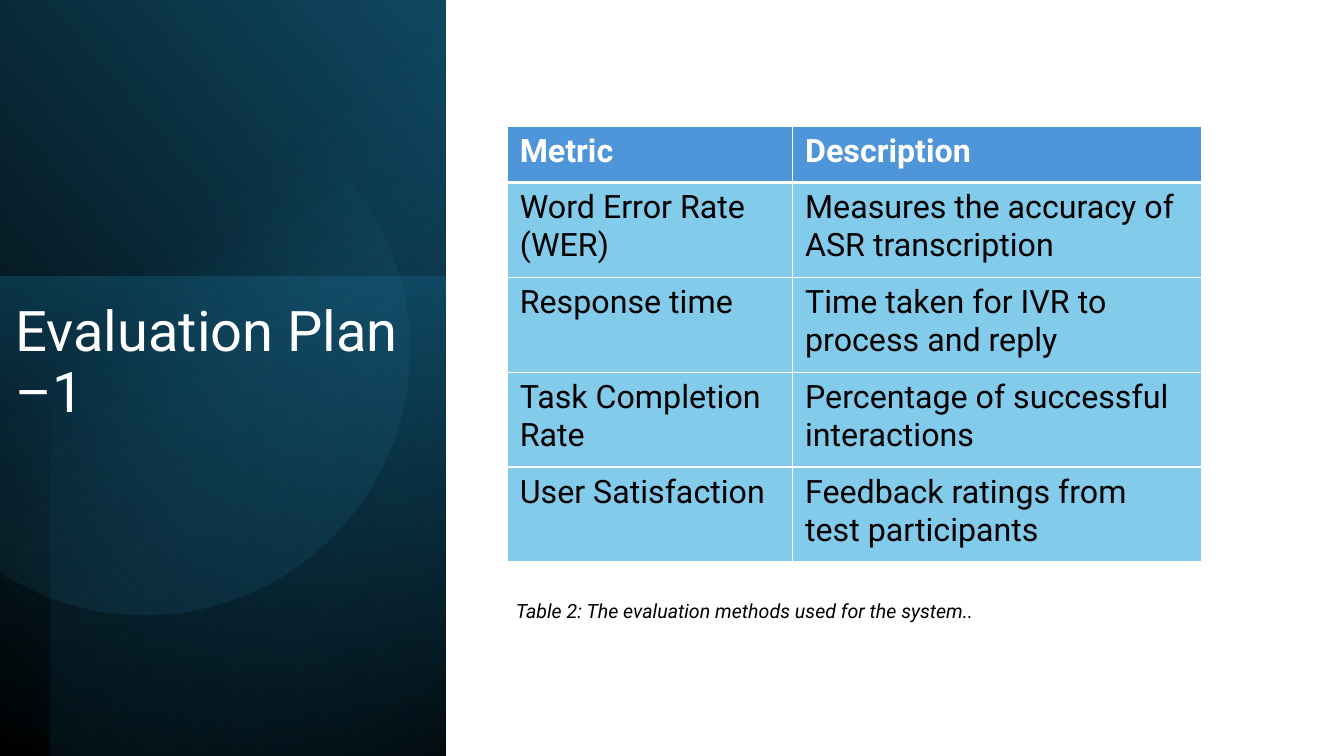
import math

import pptx
import pptx.dml.color
import pptx.enum.shapes
import pptx.oxml
import pptx.oxml.ns
import pptx.util
from pptx.util import Cm

FONT = "Roboto"
WHITE, BLACK = "FFFFFF", "000000"
HEADER_BLUE, BODY_BLUE = "4E95D9", "83CBEB"
METRICS = [
    ("Metric", "Description"),
    ("Word Error Rate (WER)", "Measures the accuracy of ASR transcription"),
    ("Response time", "Time taken for IVR to process and reply"),
    ("Task Completion Rate", "Percentage of successful interactions"),
    ("User Satisfaction", "Feedback ratings from test participants"),
]


def rgb(value):
    """Turn a hex string into a colour."""
    return pptx.dml.color.RGBColor.from_string(value)


def write(frame, text, size, color=BLACK, bold=False, italic=False, spacing=1.0):
    """Put one formatted paragraph into a text frame."""
    frame.word_wrap = True
    paragraph = frame.paragraphs[0]
    paragraph.line_spacing = spacing
    run = paragraph.add_run()
    run.text = text
    run.font.name = FONT
    run.font.size = pptx.util.Pt(size)
    run.font.bold = bold
    run.font.italic = italic
    run.font.color.rgb = rgb(color)


def add_text(slide, box, text, **style):
    """Add a text box given as left, top, width and height in cm."""
    label = slide.shapes.add_textbox(*map(Cm, box))
    write(label.text_frame, text, **style)


def shade(shape, stops, angle):
    """Fill with a two-stop gradient of (position, colour, opacity) at a clockwise angle."""
    shape.shadow.inherit = False
    shape.line.fill.background()
    shape.fill.gradient()
    shape.fill.gradient_angle = 360 - angle
    for stop, (position, color, _) in zip(shape.fill.gradient_stops, stops):
        stop.position = position
        stop.color.rgb = rgb(color)
    tints = shape._element.spPr.iter(pptx.oxml.ns.qn("a:srgbClr"))
    for tint, (_, _, opacity) in zip(list(tints), stops):
        alpha = pptx.oxml.parse_xml(
            f'<a:alpha {pptx.oxml.ns.nsdecls("a")} val="{opacity * 1000}"/>')
        tint.append(alpha)


def add_panel(slide, box, rotation, stops, angle, mirrored=False):
    """Add a rotated gradient rectangle."""
    panel = slide.shapes.add_shape(
        pptx.enum.shapes.MSO_SHAPE.RECTANGLE, *map(Cm, box))
    panel.rotation = rotation
    if mirrored:
        panel._element.spPr.xfrm.set("flipH", "1")
    shade(panel, stops, angle)


def add_cut_disc(slide, center_x, center_y, radius, stops, angle):
    """Add a gradient disc cut off at the left edge of the slide."""
    reach = math.acos(-center_x / radius)
    steps = 120
    angles = [reach * (2 * step / steps - 1) for step in range(steps + 1)]
    rim = [(Cm(center_x + radius * math.cos(a)), Cm(center_y + radius * math.sin(a)))
           for a in angles]
    builder = slide.shapes.build_freeform(*rim[0])
    builder.add_line_segments(rim[1:], close=True)
    shade(builder.convert_to_shape(), stops, angle)


def set_borders(cell, bottom=1, top=1):
    """Draw white borders round a cell, with widths in points."""
    properties = cell._tc.get_or_add_tcPr()
    widths = {"lnL": 1, "lnR": 1, "lnT": top, "lnB": bottom}
    for index, (side, width) in enumerate(widths.items()):
        properties.insert(index, pptx.oxml.parse_xml(
            f'<a:{side} {pptx.oxml.ns.nsdecls("a")} w="{pptx.util.Pt(width)}">'
            f'<a:solidFill><a:srgbClr val="{WHITE}"/></a:solidFill></a:{side}>'))


def add_metric_table(slide, left, top, widths, header_height, row_height):
    """Add the table of metrics with its header row."""
    heights = [header_height] + [row_height] * (len(METRICS) - 1)
    table = slide.shapes.add_table(
        len(METRICS), len(widths), Cm(left), Cm(top),
        Cm(sum(widths)), Cm(sum(heights))).table
    for column, width in zip(table.columns, widths):
        column.width = Cm(width)
    for row_index, (row, height) in enumerate(zip(table.rows, heights)):
        row.height = Cm(height)
        header = row_index == 0
        for cell, text in zip(row.cells, METRICS[row_index]):
            cell.margin_left = cell.margin_right = Cm(0.32)
            cell.margin_top = cell.margin_bottom = Cm(0.16)
            cell.fill.solid()
            cell.fill.fore_color.rgb = rgb(HEADER_BLUE if header else BODY_BLUE)
            set_borders(cell, bottom=3 if header else 1,
                        top=3 if row_index == 1 else 1)
            write(cell.text_frame, text, size=23, bold=header,
                  color=WHITE if header else BLACK)


def main():
    """Build the evaluation plan slide."""
    deck = pptx.Presentation()
    deck.slide_width, deck.slide_height = Cm(33.87), Cm(19.05)
    slide = deck.slides.add_slide(deck.slide_layouts[6])

    add_panel(slide, (-3.94, 3.94, 19.1, 11.23), 90,
              [(0, BLACK, 100), (1, "104862", 100)], 310, mirrored=True)
    add_panel(slide, (-0.43, 7.39, 12.09, 11.23), 270,
              [(0, "156082", 50), (1, "0B3041", 0)], 190)
    add_panel(slide, (-3.28, 4.55, 19.05, 9.96), 270,
              [(0, BLACK, 59), (0.69, "156082", 0)], 220, mirrored=True)
    add_cut_disc(slide, 3.65, 8.81, 6.68,
                 [(0.39, "46B1E1", 0), (1, "104862", 26)], 52)

    add_text(slide, (0.15, 7.52, 10.92, 4.04), "Evaluation Plan –1",
             size=40, color=WHITE, spacing=0.9)
    add_metric_table(slide, 12.78, 3.18, (7.19, 10.31), 1.42, 2.39)
    add_text(slide, (12.75, 14.96, 20, 0.86),
             "Table 2: The evaluation methods used for the system..",
             size=14, italic=True)
    deck.save("out.pptx")


if __name__ == "__main__":
    main()
